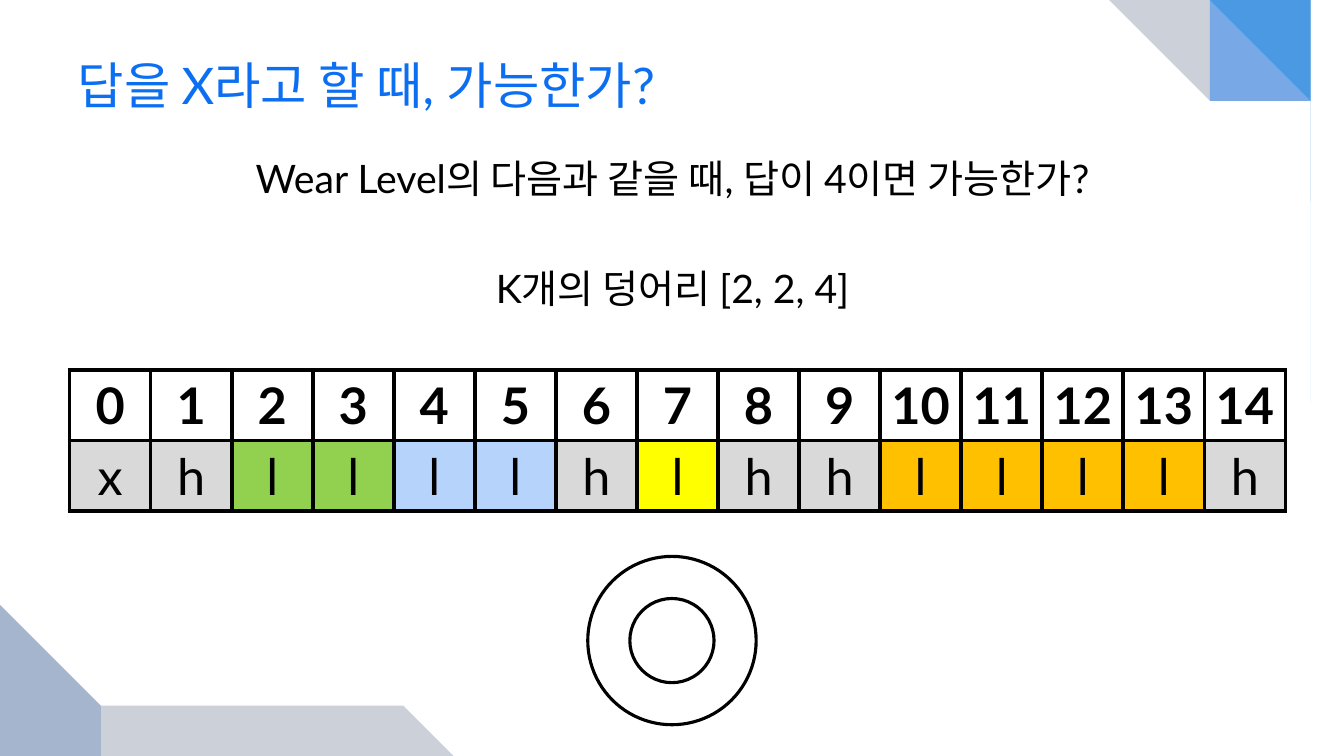
from pptx import Presentation
from pptx.dml.color import RGBColor
from pptx.enum import shapes, text
from pptx.oxml import parse_xml
from pptx.oxml.ns import nsdecls
from pptx.util import Inches, Pt

FONT = "Lato"
BLACK = RGBColor(0, 0, 0)
WHITE = RGBColor(255, 255, 255)
TITLE = RGBColor(0x0C, 0x6F, 0xF2)
GRAY = RGBColor(0xD9, 0xD9, 0xD9)
GREEN = RGBColor(0x92, 0xD0, 0x50)
PALE = RGBColor(0xB6, 0xD4, 0xFB)
YELLOW = RGBColor(0xFF, 0xFF, 0)
ORANGE = RGBColor(0xFF, 0xC0, 0)
CYAN = RGBColor(0, 0xB1, 0xE9)
NAVY = RGBColor(0x02, 0x17, 0x41)
BLUE = RGBColor(0x24, 0x7F, 0xF4)
DEEP = RGBColor(0x08, 0x4A, 0xA1)

HEAD = "답을 X라고 할 때, 가능한가?"
LINES = [("Wear Level의 다음과 같을 때, 답이 4이면 가능한가?", 5.6),
         ("K개의 덩어리 [2, 2, 4]", 45)]
RUNS = [("xh", GRAY), ("ll", GREEN), ("ll", PALE), ("h", GRAY),
        ("l", YELLOW), ("hh", GRAY), ("llll", ORANGE), ("h", GRAY)]
WAVES = [
    (CYAN, 45, [(13.33, 4.08), (13.33, 0), (11.89, 0), (12.01, 0.07),
                (12.15, 0.18), (12.28, 0.31), (12.4, 0.46), (12.53, 0.64),
                (12.66, 0.87), (12.79, 1.14), (12.88, 1.37), (12.97, 1.63),
                (13.05, 1.93), (13.13, 2.26), (13.2, 2.62), (13.25, 3.01),
                (13.3, 3.44), (13.32, 3.84)]),
    (NAVY, 20, [(8.89, 0), (13.33, 0), (13.33, 2.15), (13.25, 1.96),
                (13.14, 1.76), (12.99, 1.56), (12.83, 1.38), (12.63, 1.19),
                (12.39, 1), (12.1, 0.81), (11.75, 0.63), (11.34, 0.46),
                (10.88, 0.3), (10.35, 0.18), (9.75, 0.08), (9.33, 0.03)]),
    (BLUE, 49, [(8.89, 0), (13.33, 0), (13.33, 1.55), (13.26, 1.42),
                (13.14, 1.27), (13, 1.13), (12.84, 1), (12.64, 0.86),
                (12.39, 0.72), (12.1, 0.59), (11.75, 0.45), (11.35, 0.33),
                (10.88, 0.22), (10.35, 0.13), (9.75, 0.05), (9.25, 0.02)]),
    (NAVY, 20, [(5, 7.5), (0, 7.5), (0, 6.08), (0.08, 6.2), (0.19, 6.31),
                (0.34, 6.44), (0.51, 6.55), (0.72, 6.68), (0.98, 6.8),
                (1.3, 6.93), (1.68, 7.05), (2.11, 7.17), (2.62, 7.27),
                (3.2, 7.36), (3.86, 7.43), (4.5, 7.48)]),
    (DEEP, 20, [(0, 4.58), (0, 7.5), (1.48, 7.5), (1.35, 7.45),
                (1.21, 7.38), (1.07, 7.28), (0.92, 7.14), (0.79, 7.01),
                (0.66, 6.84), (0.52, 6.64), (0.4, 6.4), (0.29, 6.12),
                (0.19, 5.81), (0.1, 5.45), (0.04, 5.04), (0.01, 4.7)]),
]


def style(para, size, color, align, bold=False):
    para.alignment = align
    font = para.font
    font.name, font.size, font.bold = FONT, Pt(size), bold
    font.color.rgb = color


def wave(slide, color, alpha, points):
    pen = slide.shapes.build_freeform(*points[0], scale=Inches(1))
    pen.add_line_segments(points[1:])
    shape = pen.convert_to_shape()
    shape.shadow.inherit = False
    shape.fill.solid()
    shape.fill.fore_color.rgb = color
    shape.line.fill.background()
    tint = shape.fill._xPr.find(".//{*}srgbClr")
    tint.append(parse_xml(f'<a:alpha {nsdecls("a")} val="{alpha * 1000}"/>'))


def paint(cell, label, color, bold):
    cell.text = label
    cell.vertical_anchor = text.MSO_ANCHOR.MIDDLE
    style(cell.text_frame.paragraphs[0], 36, BLACK, text.PP_ALIGN.CENTER, bold)
    props = cell._tc.get_or_add_tcPr()
    for side in ("lnL", "lnR", "lnT", "lnB"):
        props.append(parse_xml(
            f'<a:{side} {nsdecls("a")} w="{Pt(3)}"><a:solidFill>'
            f'<a:srgbClr val="{BLACK}"/></a:solidFill></a:{side}>'))
    cell.fill.solid()
    cell.fill.fore_color.rgb = color


def main():
    deck = Presentation()
    deck.slide_width, deck.slide_height = Inches(13.33), Inches(7.5)
    slide = deck.slides.add_slide(deck.slide_layouts[5])
    for item in WAVES:
        wave(slide, *item)

    title = slide.shapes.title
    title.left, title.top = Inches(0.67), Inches(0.33)
    title.width, title.height = Inches(12), Inches(1.01)
    title.text_frame.text = HEAD
    title.text_frame.vertical_anchor = text.MSO_ANCHOR.MIDDLE
    style(title.text_frame.paragraphs[0], 36, TITLE, text.PP_ALIGN.LEFT)

    body = slide.shapes.add_textbox(
        Inches(0.67), Inches(1.48), Inches(12), Inches(1.82)).text_frame
    body.word_wrap = True
    body.text = "\n".join(line for line, gap in LINES)
    for para, (line, gap) in zip(body.paragraphs, LINES):
        style(para, 28, BLACK, text.PP_ALIGN.CENTER)
        para.space_before = Pt(gap)

    cells = [(mark, color) for marks, color in RUNS for mark in marks]
    count = len(cells)
    grid = slide.shapes.add_table(
        2, count, Inches(0.69), Inches(3.67), Inches(12.06), Inches(1.4)).table
    for col, (mark, color) in enumerate(cells):
        paint(grid.cell(0, col), str(col), WHITE, True)
        paint(grid.cell(1, col), mark, color, False)

    ring = slide.shapes.add_shape(
        shapes.MSO_SHAPE.DONUT, Inches(5.83), Inches(5.52), Inches(1.67), Inches(1.67))
    ring.shadow.inherit = False
    ring.fill.solid()
    ring.fill.fore_color.rgb = WHITE
    ring.line.color.rgb = BLACK
    ring.line.width = Pt(2.25)
    deck.save("out.pptx")


if __name__ == "__main__":
    main()
